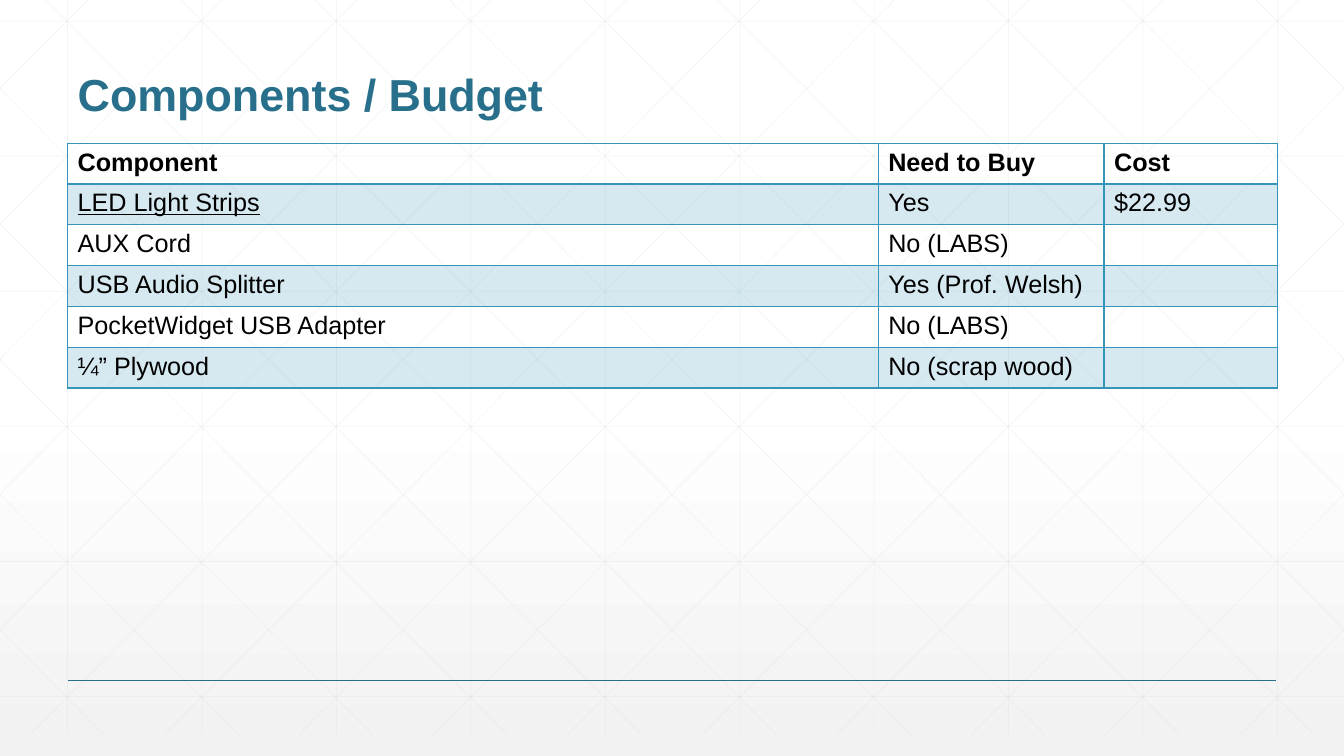
from copy import deepcopy

from lxml import etree
from pptx import Presentation
from pptx.dml.color import RGBColor
from pptx.enum import shapes, text
from pptx.oxml import ns
from pptx.util import Inches, Pt

FONT = "Arial"
TEAL, BLUE, BLACK = "276F8B", "3494BA", "000000"
WIDTH, HEIGHT = 13.33, 7.5
MARGIN = 0.67
COLUMN_WIDTHS = [8.04, 2.24, 1.72]
BUDGET = [
    ["Component", "Need to Buy", "Cost"],
    ["LED Light Strips", "Yes", "$22.99"],
    ["AUX Cord", "No (LABS)", ""],
    ["USB Audio Splitter", "Yes (Prof. Welsh)", ""],
    ["PocketWidget USB Adapter", "No (LABS)", ""],
    ["¼” Plywood", "No (scrap wood)", ""],
]


def rgb(value):
    return RGBColor.from_string(value)


def add_child(parent, tag, **attributes):
    return etree.SubElement(parent, ns.qn(tag), attributes)


def set_alpha(element, percent):
    for color in element.iter(ns.qn("a:srgbClr")):
        add_child(color, "a:alpha", val=str(percent * 1000))


def style_font(font, size, color, bold=False):
    font.name, font.size, font.bold = FONT, Pt(size), bold
    font.color.rgb = rgb(color)


def add_line(parts, x1, y1, x2, y2, color, weight):
    line = parts.add_connector(shapes.MSO_CONNECTOR.STRAIGHT,
                               Inches(x1), Inches(y1), Inches(x2), Inches(y2))
    line.line.color.rgb = rgb(color)
    line.line.width = Pt(weight)
    add_child(line._element.spPr, "a:effectLst")
    return line


def fill_background(slide):
    fill = slide.background.fill
    fill.gradient()
    fill.gradient_angle = 270
    first = fill.gradient_stops[0]._gs
    first.addnext(deepcopy(first))
    for stop, color, position in zip(fill.gradient_stops,
                                     ["FFFFFF", "FFFFFF", "F2F2F2"], [0, 0.53, 1]):
        stop.color.rgb = rgb(color)
        stop.position = position


def add_lattice(slide, left, top, width, height):
    """Faint grid with diagonals in both directions, clipped at the sides."""
    parts = slide.shapes.add_group_shape().shapes
    right, bottom, step, run = left + width, top + height, 4 / 3, 7.45
    lines = [(x, top, x, bottom) for x in (left + MARGIN + step * i for i in range(10))]
    lines += [(left, y, right, y) for y in (top + 0.42 + 1.34 * i for i in range(6))]
    for i in range(-5, 10):
        start = left + 0.25 + step * i
        x1, x2 = max(left, start), min(right, start + run)
        y1, y2 = (top + (x - start) * height / run for x in (x1, x2))
        lines += [(x1, y1, x2, y2), (left + right - x1, y1, left + right - x2, y2)]
    for ends in lines:
        set_alpha(add_line(parts, *ends, "D9D9D9", 0.5)._element, 25)


def add_title(slide, left, top, width, height):
    title = slide.shapes.title
    title.left, title.top = Inches(left), Inches(top)
    title.width, title.height = Inches(width), Inches(height)
    frame = title.text_frame
    frame.text = "Components / Budget"
    frame.auto_size = text.MSO_AUTO_SIZE.NONE
    frame.vertical_anchor = text.MSO_ANCHOR.BOTTOM
    heading = frame.paragraphs[0]
    heading.alignment = text.PP_ALIGN.LEFT
    heading.line_spacing = 0.9
    style_font(heading.font, 32, TEAL, bold=True)
    # Bring the title in front of the lattice
    slide.shapes._spTree.append(title._element)


def add_borders(cell, row):
    weights = {"L": 1, "R": 1, "T": 2 if row == 1 else 1, "B": 2 if row == 0 else 1}
    properties = cell._tc.get_or_add_tcPr()
    for side, weight in weights.items():
        border = add_child(properties, f"a:ln{side}", w=str(Pt(weight)))
        add_child(add_child(border, "a:solidFill"), "a:srgbClr", val=BLUE)


def add_budget(slide, left, top, width, height):
    table = slide.shapes.add_table(len(BUDGET), len(COLUMN_WIDTHS), Inches(left),
                                   Inches(top), Inches(width), Inches(height)).table
    table.first_row = table.horz_banding = False
    for column, column_width in zip(table.columns, COLUMN_WIDTHS):
        column.width = Inches(column_width)
    for row, entries in enumerate(BUDGET):
        for column, entry in enumerate(entries):
            cell = table.cell(row, column)
            cell.text = entry
            font = cell.text_frame.paragraphs[0].font
            style_font(font, 18, BLACK, bold=row == 0)
            add_borders(cell, row)
            if row % 2:
                cell.fill.solid()
                cell.fill.fore_color.rgb = rgb(BLUE)
                set_alpha(cell._tc.tcPr.find(ns.qn("a:solidFill")), 20)
            else:
                cell.fill.background()
    table.cell(1, 0).text_frame.paragraphs[0].runs[0].font.underline = True


presentation = Presentation()
presentation.slide_width, presentation.slide_height = Inches(WIDTH), Inches(HEIGHT)
slide = presentation.slides.add_slide(presentation.slide_layouts[5])

# Backdrop
fill_background(slide)
add_lattice(slide, 0, -0.21, WIDTH, HEIGHT)
add_line(slide.shapes, MARGIN, 6.75, WIDTH - MARGIN, 6.75, TEAL, 1)

# Content
add_title(slide, MARGIN, 0.25, 12, 1)
add_budget(slide, MARGIN, 1.42, 12, 2.43)

presentation.save("out.pptx")
